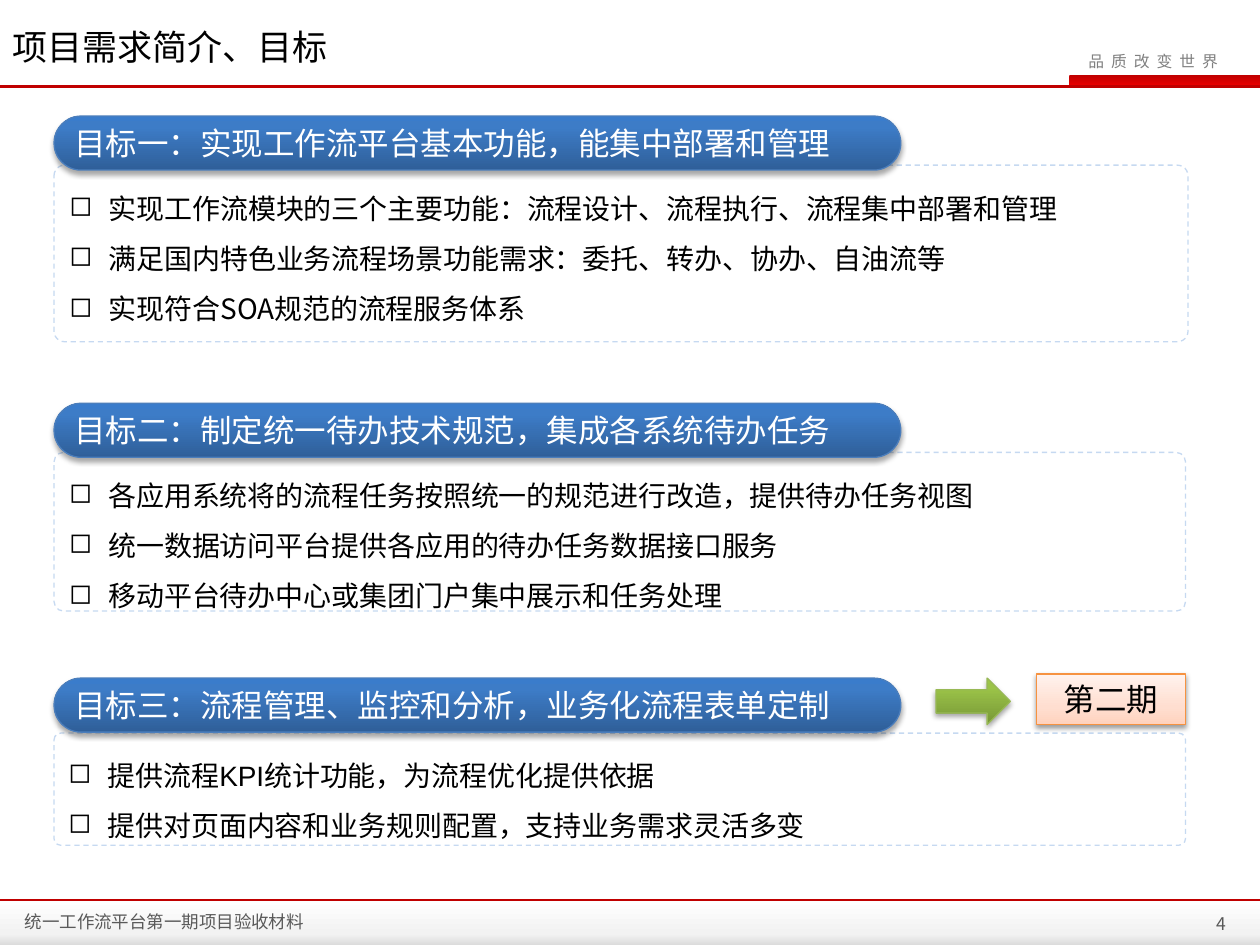
from lxml import etree
from pptx import Presentation
from pptx.dml.color import RGBColor
from pptx.enum.dml import MSO_LINE
from pptx.enum.shapes import MSO_CONNECTOR, MSO_SHAPE
from pptx.enum.text import MSO_ANCHOR, PP_ALIGN
from pptx.oxml.ns import qn
from pptx.util import Cm, Pt

RECT, ROUND, ARROW = MSO_SHAPE.RECTANGLE, MSO_SHAPE.ROUNDED_RECTANGLE, MSO_SHAPE.RIGHT_ARROW
TOP, MIDDLE = MSO_ANCHOR.TOP, MSO_ANCHOR.MIDDLE
LEFT, CENTER, RIGHT = PP_ALIGN.LEFT, PP_ALIGN.CENTER, PP_ALIGN.RIGHT
SANS, ARIAL = "Noto Sans CJK SC", "Arial"

COLORS = {
    "text": "000000", "white": "FFFFFF", "slogan": "808080", "footer": "595959",
    "rule": "C00000", "frame": "C6D9F1", "pill": "4B7EBC", "phase": "F69240",
    "arrow": "98B955",
}
# Gradient stops (percent, colour) and angle in degrees
GRADIENTS = {
    "accent": ([(0, "C00000"), (100, "EE0000")], 90),
    "footer": ([(0, "FFFFFF"), (75, "F2F2F2"), (100, "DCDCDC")], 90),
    "pill": ([(0, "2F5F99"), (80, "3D7CC7"), (100, "3A7CCB")], 270),
    "phase": ([(0, "FFD2BD"), (35, "FFDED0"), (100, "FFF2ED")], 270),
    "arrow": ([(0, "779737"), (80, "9BC348"), (100, "9DC746")], 270),
}

# Content: heading, heading top, frame (top, width, height), bullet font, bullets
GOALS = [
    ("目标一：实现工作流平台基本功能，能集中部署和管理", 2.34, (3.33, 22.86, 3.56), SANS, [
        "实现工作流模块的三个主要功能：流程设计、流程执行、流程集中部署和管理",
        "满足国内特色业务流程场景功能需求：委托、转办、协办、自油流等",
        "实现符合SOA规范的流程服务体系"]),
    ("目标二：制定统一待办技术规范，集成各系统待办任务", 8.13, (9.12, 22.81, 3.2), ARIAL, [
        "各应用系统将的流程任务按照统一的规范进行改造，提供待办任务视图",
        "统一数据访问平台提供各应用的待办任务数据接口服务",
        "移动平台待办中心或集团门户集中展示和任务处理"]),
    ("目标三：流程管理、监控和分析，业务化流程表单定制", 13.67, (14.78, 22.81, 2.26), ARIAL, [
        "提供流程KPI统计功能，为流程优化提供依据",
        "提供对页面内容和业务规则配置，支持业务需求灵活多变"]),
]
GOAL_LEFT, PILL_WIDTH, PILL_HEIGHT = 1.09, 17.07, 1.09
BULLET_INDENT = Cm(0.79)


def rgb(name):
    return RGBColor.from_string(COLORS[name])


def add_child(parent, tag, **attributes):
    return etree.SubElement(parent, qn(tag), {key: str(value) for key, value in attributes.items()})


def fill_gradient(shape, name):
    stops, angle = GRADIENTS[name]
    shape.fill.gradient()
    gradient = shape._element.spPr.find(qn("a:gradFill"))
    for child in list(gradient):
        gradient.remove(child)
    stop_list = add_child(gradient, "a:gsLst")
    for percent, color in stops:
        stop = add_child(stop_list, "a:gs", pos=percent * 1000)
        add_child(stop, "a:srgbClr", val=color)
    add_child(gradient, "a:lin", ang=angle * 60000, scaled=0)


def cast_shadow(shape, opacity, distance):
    effects = shape._element.spPr.find(qn("a:effectLst"))
    shadow = add_child(effects, "a:outerShdw", blurRad=Pt(3.1), dist=Pt(distance),
                       dir=90 * 60000, rotWithShape=0)
    color = add_child(shadow, "a:srgbClr", val="000000")
    add_child(color, "a:alpha", val=opacity * 1000)


def add_box(kind, area, gradient=None, line=None):
    box = page.shapes.add_shape(kind, *map(Cm, area))
    box.shadow.inherit = False
    if gradient:
        fill_gradient(box, gradient)
    else:
        box.fill.background()
    if line:
        box.line.color.rgb = rgb(line)
        box.line.width = Pt(0.75)
    else:
        box.line.fill.background()
    return box


def add_rule(top, width):
    rule = page.shapes.add_connector(MSO_CONNECTOR.STRAIGHT, 0, Cm(top), deck.slide_width, Cm(top))
    rule.line.color.rgb = rgb("rule")
    rule.line.width = Pt(width)
    add_child(rule._element.spPr, "a:effectLst")


def write(box, lines, size, color, font=SANS, align=LEFT, anchor=TOP,
          spacing=None, bullet=None, tracking=None):
    frame = box.text_frame
    frame.word_wrap = True
    frame.vertical_anchor = anchor
    for index, line in enumerate(lines):
        para = frame.paragraphs[0] if index == 0 else frame.add_paragraph()
        para.alignment = align
        if spacing:
            para.line_spacing = spacing
        if bullet:
            properties = para._p.get_or_add_pPr()
            properties.set("marL", str(BULLET_INDENT))
            properties.set("indent", str(-BULLET_INDENT))
            add_child(properties, "a:buChar", char=bullet)
        span = para.add_run()
        span.text = line
        span.font.size = Pt(size)
        span.font.name = font
        span.font.color.rgb = rgb(color)
        add_child(span._r.rPr, "a:ea", typeface=SANS)
        if tracking:
            span._r.rPr.set("spc", str(tracking))


def add_label(area, text, size, color, **style):
    write(page.shapes.add_textbox(*map(Cm, area)), [text], size, color, **style)


deck = Presentation()
deck.slide_width, deck.slide_height = Cm(25.4), Cm(19.05)
page = deck.slides.add_slide(deck.slide_layouts[6])

# Header and footer
add_box(RECT, (21.56, 1.52, 3.84, 0.23), "accent")
add_label((21.69, 0.91, 3.45, 0.64), "品 质 改 变 世 界", 9, "slogan", tracking=100)
add_rule(1.75, 1.5)
add_box(RECT, (0, 18.14, 25.4, 0.91), "footer")
add_rule(18.14, 1)
add_label((0, 0.28, 16.46, 1.19), "项目需求简介、目标", 20, "text", spacing=Pt(27))
add_label((0.25, 18.31, 8.05, 0.53), "统一工作流平台第一期项目验收材料", 10, "footer", anchor=MIDDLE)
add_label((21.97, 18.29, 3, 0.64), "4", 10, "footer", align=RIGHT, anchor=MIDDLE)

# Goals: dashed frame with bullets, heading pill on top
for heading, pill_top, (top, width, height), font, bullets in GOALS:
    frame_box = add_box(ROUND, (GOAL_LEFT, top, width, height), line="frame")
    frame_box.adjustments[0] = 0.06
    frame_box.line.dash_style = MSO_LINE.DASH
    write(frame_box, bullets, 16, "text", font=font, spacing=1.5, bullet="◻")
    pill = add_box(ROUND, (GOAL_LEFT, pill_top, PILL_WIDTH, PILL_HEIGHT), "pill", "pill")
    pill.adjustments[0] = 0.5
    cast_shadow(pill, 35, 1.8)
    write(pill, [heading], 18, "white", anchor=MIDDLE)

# Phase marker beside the third goal
phase = add_box(RECT, (20.9, 13.59, 3, 1.02), "phase", "phase")
cast_shadow(phase, 38, 1.6)
write(phase, ["第二期"], 18, "text", align=CENTER)
arrow = add_box(ARROW, (18.87, 13.67, 1.5, 0.94), "arrow", "arrow")
cast_shadow(arrow, 35, 1.8)

deck.save("out.pptx")
